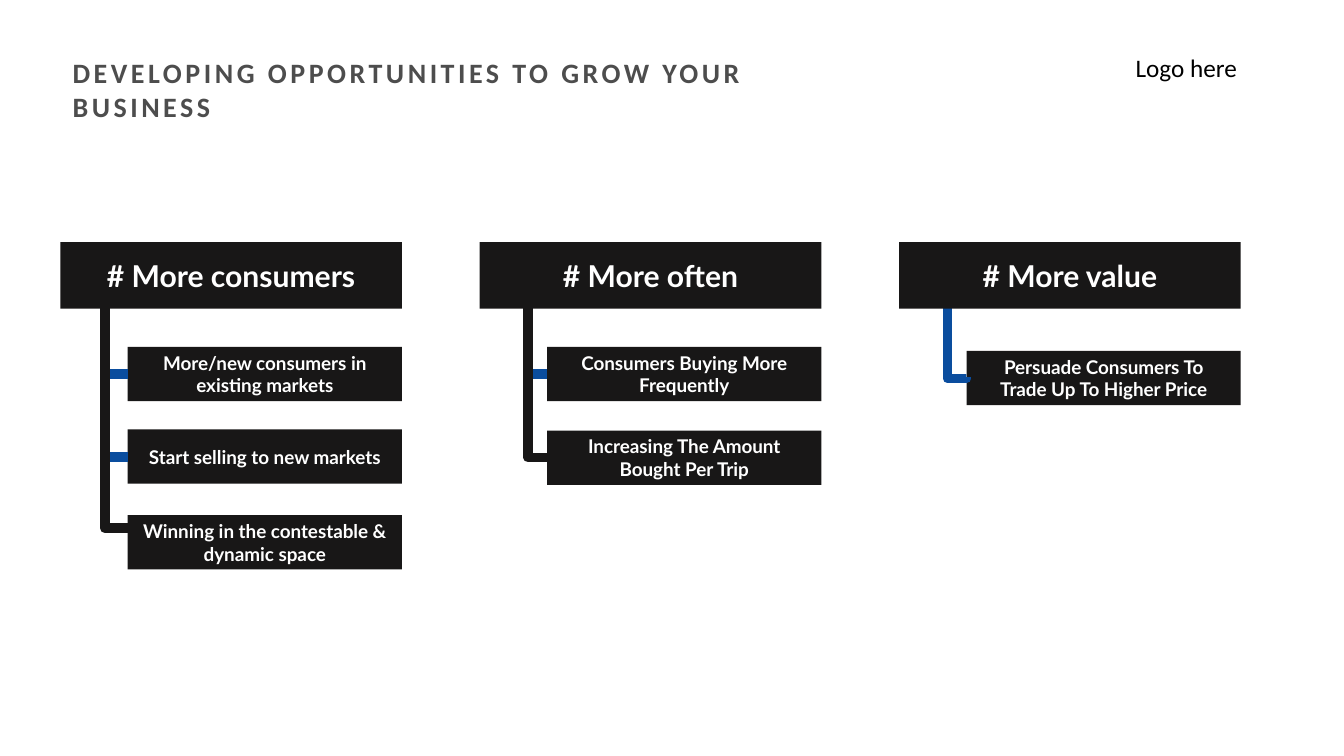
from lxml import etree
from pptx import Presentation
from pptx.dml.color import RGBColor
from pptx.enum.shapes import MSO_CONNECTOR, MSO_SHAPE
from pptx.enum.text import MSO_ANCHOR, MSO_AUTO_SIZE, PP_ALIGN
from pptx.oxml.ns import qn
from pptx.util import Cm, Pt

RECTANGLE = MSO_SHAPE.RECTANGLE
ELBOW = MSO_CONNECTOR.ELBOW
TOP, MIDDLE = MSO_ANCHOR.TOP, MSO_ANCHOR.MIDDLE
LEFT, CENTER = PP_ALIGN.LEFT, PP_ALIGN.CENTER
NO_FIT, GROW = MSO_AUTO_SIZE.NONE, MSO_AUTO_SIZE.SHAPE_TO_FIT_TEXT
TITLE_ONLY = 5

BLACK, BLUE, WHITE, GREY = "181717", "0A4D9E", "FFFFFF", "4D4D4D"

HEADER_LEFT, HEADER_TOP, HEADER_PITCH = 1.52, 6.1, 10.57
HEADER_WIDTH, HEADER_HEIGHT = 8.61, 1.68
ITEM_WIDTH, ITEM_HEIGHT = 6.91, 1.37
TRUNK_TOP = 7.65

# Each column: heading, trunk position, items as (text, top, branch level, branch colour, overshoot)
COLUMNS = [
    ("# More consumers", 2.64, [
        ("More/new consumers in existing markets", 8.74, 9.42, BLUE, 0),
        ("Start selling to new markets", 10.82, 11.51, BLUE, 0),
        ("Winning in the contestable & dynamic space", 12.98, 13.31, BLACK, 0),
    ]),
    ("# More often", 13.31, [
        ("Consumers Buying More Frequently", 8.74, 9.42, BLUE, 0),
        ("Increasing The Amount Bought Per Trip", 10.85, 11.53, BLACK, 0),
    ]),
    ("# More value", 23.88, [
        ("Persuade Consumers To Trade Up To Higher Price", 8.84, 9.5, BLUE, 0.02),
    ]),
]


def colour(hex_text):
    return RGBColor.from_string(hex_text)


class GrowthSlide:
    def __init__(self, deck):
        self.page = deck.slides.add_slide(deck.slide_layouts[TITLE_ONLY])
        self.body_font, self.plain_font = "Lato", "Calibri"

    def set_text(self, box, text, font, size, ink, bold, align=LEFT, anchor=TOP,
                 fit=NO_FIT, insets=(0.25, 0.13), spacing=0):
        frame = box.text_frame
        across, down = map(Cm, insets)
        settings = {"word_wrap": True, "auto_size": fit, "vertical_anchor": anchor,
                    "margin_left": across, "margin_right": across,
                    "margin_top": down, "margin_bottom": down}
        for name, value in settings.items():
            setattr(frame, name, value)
        para = frame.paragraphs[0]
        para.alignment = align
        span = para.add_run()
        span.text = text
        for name, value in {"name": font, "size": Pt(size), "bold": bold}.items():
            setattr(span.font, name, value)
        span.font.color.rgb = colour(ink)
        if spacing:
            span.font._element.set("spc", str(round(spacing * 100)))

    def title(self, text, left, top, width, height):
        box = self.page.shapes.title
        place = {"left": left, "top": top, "width": width, "height": height}
        for name, value in place.items():
            setattr(box, name, Cm(value))
        self.set_text(box, text, self.plain_font, 20, GREY, True, insets=(0, 0), spacing=2.5)

    def label(self, text, left, top, width, height):
        box = self.page.shapes.add_textbox(*map(Cm, (left, top, width, height)))
        self.set_text(box, text, self.plain_font, 18, "000000", False, fit=GROW)

    def block(self, text, left, top, width, height, size):
        box = self.page.shapes.add_shape(RECTANGLE, *map(Cm, (left, top, width, height)))
        box.shadow.inherit = False
        box.fill.solid()
        box.fill.fore_color.rgb = colour(BLACK)
        box.line.fill.background()
        self.set_text(box, text, self.body_font, size, WHITE, True, CENTER, MIDDLE,
                      insets=(0.33, 0.18))

    def branch(self, left, top, right, bottom, ink, overshoot):
        """Run down from the trunk top, then right; overshoot dips past the end level."""
        run, drop = right - left, bottom - top
        middle_x, middle_y = (left + right) / 2, (top + bottom) / 2
        # A quarter turn swaps the width and height about the same centre.
        x, y = middle_x - drop / 2, middle_y - run / 2
        link = self.page.shapes.add_connector(
            ELBOW, Cm(x), Cm(y), Cm(x + drop), Cm(y + run))
        link.line.color.rgb = colour(ink)
        link.line.width = Pt(7)
        properties = link._element.spPr
        frame = properties.find(qn("a:xfrm"))
        frame.set("rot", str(270 * 60000))
        frame.set("flipH", "1")
        geometry = properties.find(qn("a:prstGeom"))
        if overshoot:
            guide = etree.SubElement(geometry.find(qn("a:avLst")), qn("a:gd"))
            guide.set("name", "adj1")
            guide.set("fmla", f"val {round((1 + overshoot) * 100000)}")
        else:
            geometry.set("prst", "bentConnector2")
        etree.SubElement(properties, qn("a:effectLst"))

    def column(self, index, heading, trunk, items):
        left = HEADER_LEFT + index * HEADER_PITCH
        item_left = left + HEADER_WIDTH - ITEM_WIDTH
        for text, top, *_ in items:
            self.block(text, item_left, top, ITEM_WIDTH, ITEM_HEIGHT, 13.5)
        for _, _, level, ink, overshoot in items:
            self.branch(trunk, TRUNK_TOP, item_left, level, ink, overshoot)
        self.block(heading, left, HEADER_TOP, HEADER_WIDTH, HEADER_HEIGHT, 21.5)


def main():
    deck = Presentation()
    deck.slide_width, deck.slide_height = Cm(33.87), Cm(19.05)
    slide = GrowthSlide(deck)
    slide.title("DEVELOPING OPPORTUNITIES TO GROW YOUR BUSINESS", 1.83, 1.4, 18.87, 1.7)
    slide.label("Logo here", 28.37, 1.19, 5.4, 1.02)
    for index, (heading, trunk, items) in enumerate(COLUMNS):
        slide.column(index, heading, trunk, items)
    deck.save("out.pptx")


if __name__ == "__main__":
    main()
